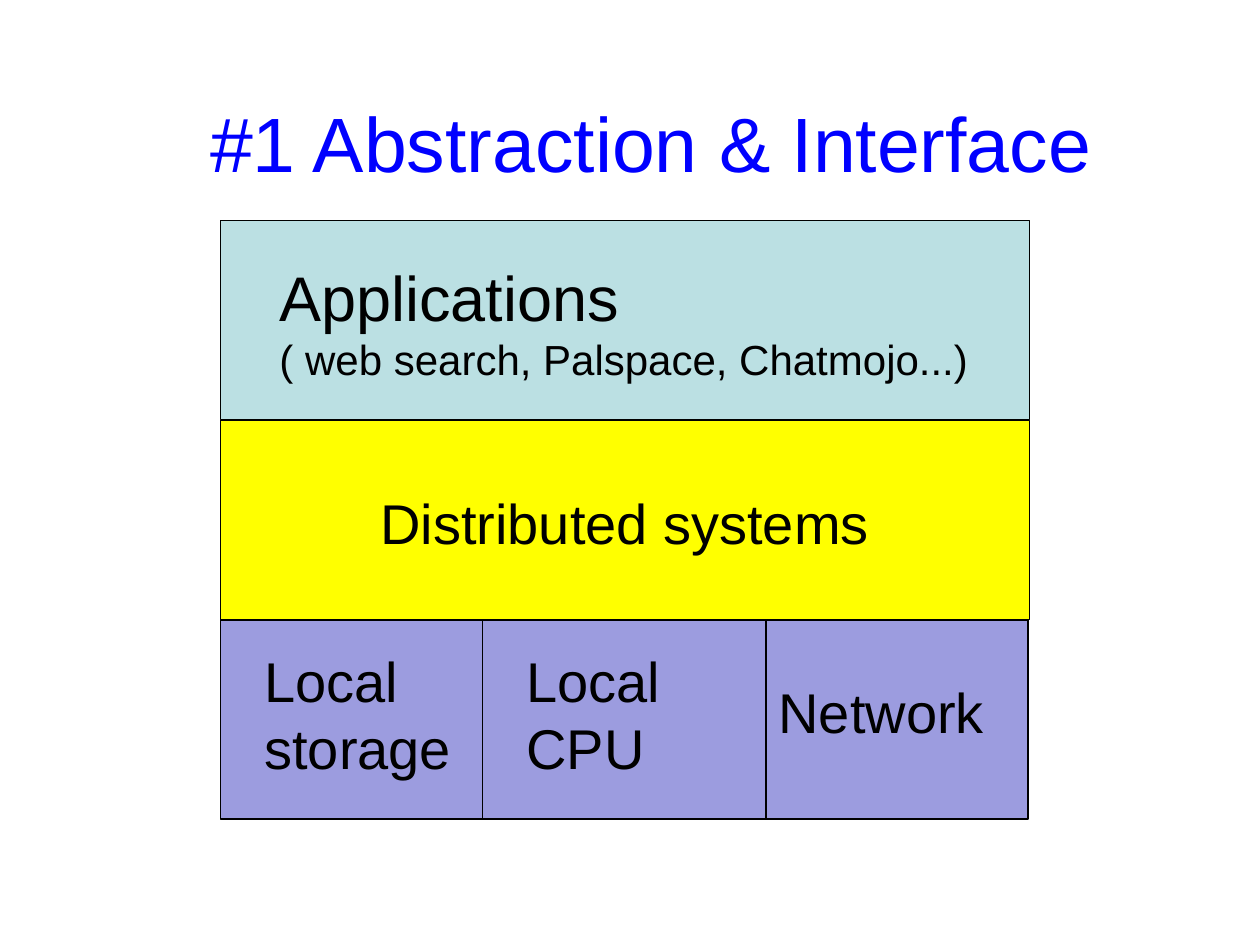
from dataclasses import dataclass

from pptx import Presentation
from pptx.dml.color import RGBColor
from pptx.enum.shapes import MSO_SHAPE
from pptx.enum.text import MSO_ANCHOR, MSO_AUTO_SIZE, PP_ALIGN
from pptx.util import Inches, Pt

RECT = MSO_SHAPE.RECTANGLE
MIDDLE = MSO_ANCHOR.MIDDLE
CENTER = PP_ALIGN.CENTER
FIXED = MSO_AUTO_SIZE.NONE
GROW = MSO_AUTO_SIZE.SHAPE_TO_FIT_TEXT


@dataclass(frozen=True)
class Theme:
    font: str = "Arial"
    ink: RGBColor = RGBColor(0, 0, 0)
    title: RGBColor = RGBColor(0, 0, 255)
    apps: RGBColor = RGBColor(0xBB, 0xE0, 0xE3)
    system: RGBColor = RGBColor(255, 255, 0)
    local: RGBColor = RGBColor(0x9C, 0x9C, 0xDF)
    head: int = 44
    large: int = 36
    label: int = 32
    small: int = 24


THEME = Theme()
LEFT, TOP = 1.75, 1.75
WIDTH, ROW = 6.42, 1.58


def style(para, size, color=THEME.ink):
    para.font.name = THEME.font
    para.font.size = Pt(size)
    para.font.color.rgb = color


def add_title(slide, text):
    title = slide.shapes.title
    title.left, title.top = Inches(0.92), Inches(0.5)
    title.width, title.height = Inches(8.5), Inches(1.25)
    frame = title.text_frame
    frame.text = text
    frame.auto_size = FIXED
    frame.vertical_anchor = MIDDLE
    para = frame.paragraphs[0]
    para.alignment = CENTER
    style(para, THEME.head, THEME.title)


def add_block(slide, left, row, width, color):
    top = TOP + row * (ROW + 0.005)
    block = slide.shapes.add_shape(
        RECT, Inches(left), Inches(top), Inches(width), Inches(ROW))
    block.shadow.inherit = False
    block.fill.solid()
    block.fill.fore_color.rgb = color
    block.line.color.rgb = THEME.ink
    block.line.width = Pt(0.75)


def add_label(slide, left, top, width, height, lines, wrap=True):
    box = slide.shapes.add_textbox(
        Inches(left), Inches(top), Inches(width), Inches(height))
    frame = box.text_frame
    frame.word_wrap = wrap
    frame.auto_size = GROW
    frame.text = "\n".join(text for text, _ in lines)
    for para, (_, size) in zip(frame.paragraphs, lines):
        style(para, size)


def main():
    deck = Presentation()
    deck.slide_width, deck.slide_height = Inches(10), Inches(7.5)
    slide = deck.slides.add_slide(deck.slide_layouts[5])
    add_title(slide, "#1 Abstraction & Interface")

    add_block(slide, LEFT, 1, WIDTH, THEME.system)
    add_block(slide, LEFT, 0, WIDTH, THEME.apps)
    for left, width in ((LEFT, 2.25), (5.83, 2.33), (3.83, 2.25)):
        add_block(slide, left, 2, width, THEME.local)

    add_label(slide, 2.12, 2, 5.83, 1.1, [
        ("Applications", THEME.large),
        ("( web search, Palspace, Chatmojo...)", THEME.small),
    ], wrap=False)
    for text, left, top, width, height in (
        ("Distributed systems", 2.92, 3.83, 4.75, 0.64),
        ("Local storage", 2, 5.08, 1.83, 1.17),
        ("Local CPU", 4.08, 5.08, 1.83, 1.17),
        ("Network", 6.08, 5.33, 2.08, 0.64),
    ):
        add_label(slide, left, top, width, height, [(text, THEME.label)])

    deck.save("out.pptx")


if __name__ == "__main__":
    main()
